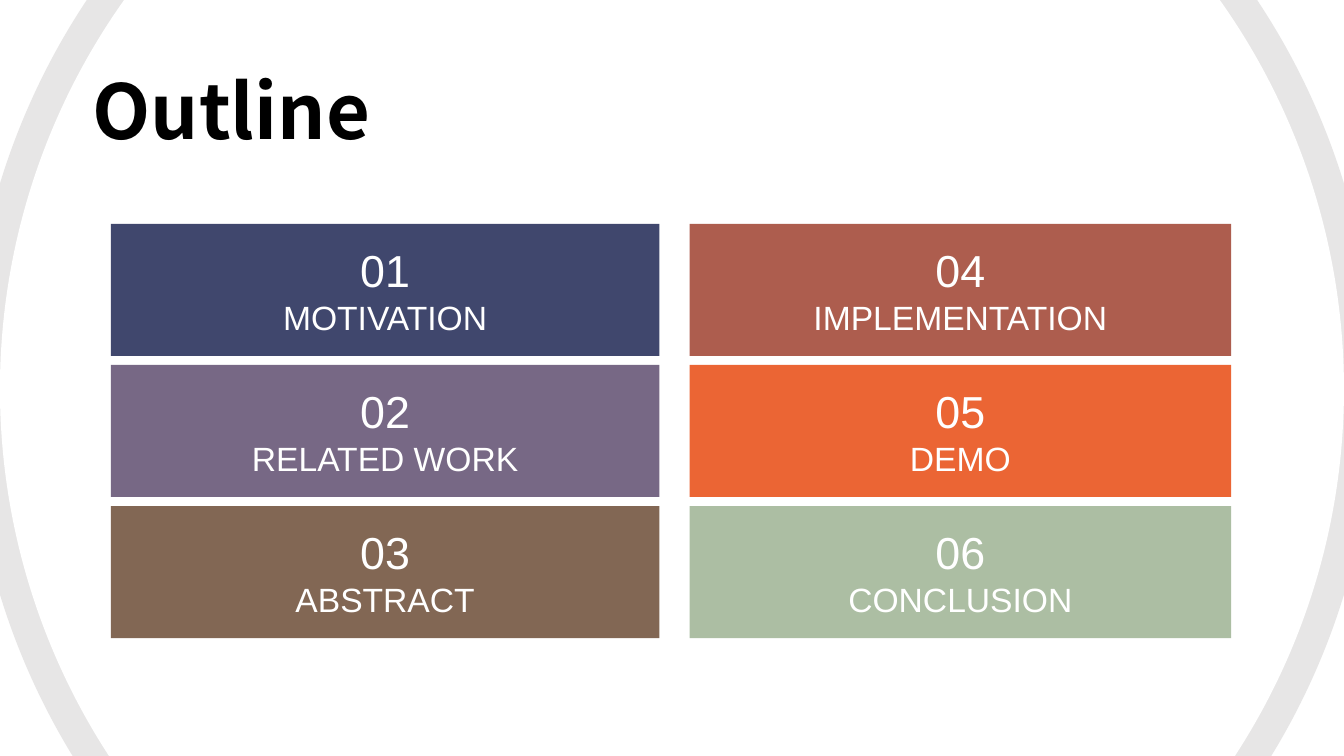
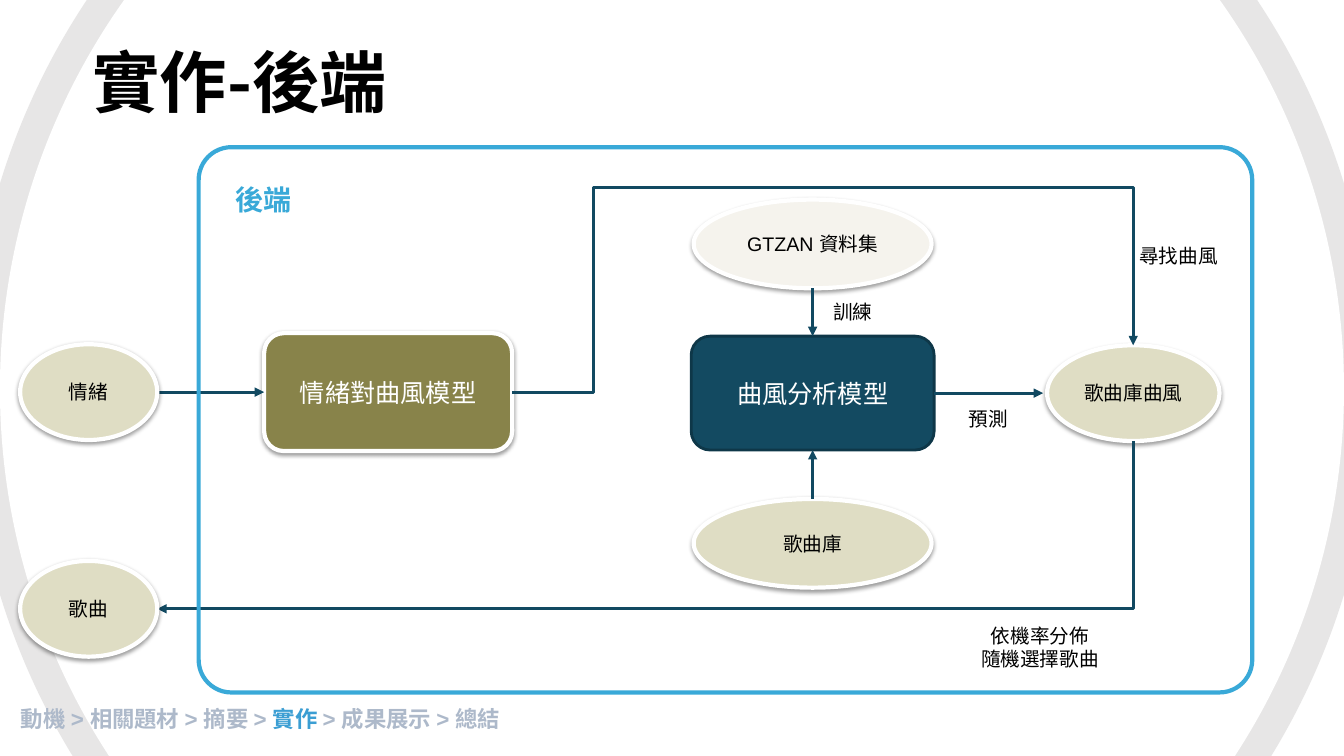
from math import acos, asin, cos, pi, sin, tan

from lxml import etree
from pptx import Presentation
from pptx.dml.color import RGBColor
from pptx.enum.shapes import MSO_CONNECTOR as Link, MSO_SHAPE as Preset
from pptx.enum.text import MSO_ANCHOR as Anchor, PP_ALIGN as Align
from pptx.oxml.ns import qn
from pptx.util import Inches, Pt

# Shared look
WIDTH, HEIGHT = 13.33, 7.5
BODY_FONT, CJK_FONT = "Arial", "Noto Sans CJK TC"
BLACK, WHITE = "000000", "FFFFFF"
RING_GREY, ARROW_BLUE, FRAME_BLUE = "E7E6E6", "114961", "39A9D8"
RING_CENTRE = (WIDTH / 2, 3.86)
RING_DISCS = [(6.97, RING_GREY), (WIDTH / 2, WHITE)]

# Outline slide
OUTLINE_TITLE = "Outline"
TOPICS = [
    ("MOTIVATION", "40476D"), ("RELATED WORK", "776885"), ("ABSTRACT", "826754"),
    ("IMPLEMENTATION", "AD5D4E"), ("DEMO", "EB6534"), ("CONCLUSION", "ACBEA3"),
]
TOPIC_COLUMNS = [(1.1, 5.44), (6.84, 5.37)]  # left, width
TOPIC_TOP, TOPIC_HEIGHT, TOPIC_PITCH, TOPIC_ROWS = 2.22, 1.31, 1.4, 3

# Back-end slide
BACKEND_TITLE = "實作-後端"
BREADCRUMB = [("動機 > 相關題材 > 摘要 > ", "ADB9CA"), ("實作 ", "3B9ED3"),
              ("> 成果展示 > 總結", "ADB9CA")]
# style: preset, fill, line, line width, text size, text colour
STYLES = {
    "analysis": (Preset.ROUNDED_RECTANGLE, "134A61", "0E3748", 2, 18, WHITE),
    "mapping": (Preset.ROUNDED_RECTANGLE, "88834A", WHITE, 3, 18, WHITE),
    "dataset": (Preset.OVAL, "F5F3ED", WHITE, 3, 14, BLACK),
    "data": (Preset.OVAL, "DFDDC4", WHITE, 3, 14, BLACK),
}
# node: text, style, centre x, centre y, width, height
NODES = {
    "analyser": ("曲風分析模型", "analysis", 8.06, 3.9, 2.41, 1.13),
    "mapper": ("情緒對曲風模型", "mapping", 3.85, 3.89, 2.46, 1.17),
    "dataset": ("GTZAN 資料集", "dataset", 8.06, 2.42, 2.36, 0.88),
    "library": ("歌曲庫", "data", 8.06, 5.39, 2.36, 0.88),
    "genres": ("歌曲庫曲風", "data", 11.24, 3.9, 1.71, 0.95),
    "emotion": ("情緒", "data", 0.88, 3.89, 1.36, 0.95),
    "song": ("歌曲", "data", 0.88, 6.04, 1.36, 0.95),
}
OUTSIDE_NODES = ("emotion", "song")  # these cover the arrow ends
STRAIGHT_ARROWS = [
    ("dataset", "bottom", "analyser", "top"), ("library", "top", "analyser", "bottom"),
    ("analyser", "right", "genres", "left"), ("emotion", "right", "mapper", "left"),
]
ARROW_GAPS = {"genres": 0.04}  # space left before the node
DETOUR_X, DETOUR_Y = 5.89, 1.86
# label: lines, left, top, width, height
LABELS = [
    (["訓練"], 7.88, 2.93, 1.16, 0.34), (["預測"], 9.22, 3.99, 1.16, 0.34),
    (["尋找曲風"], 11.11, 2.37, 1.16, 0.34),
    (["依機率分佈", "隨機選擇歌曲"], 9.52, 6.14, 1.59, 0.57),
]
FRAME = (1.97, 1.46, 10.45, 5.41)
FRAME_LABEL = ("後端", 2.24, 1.76, 0.76, 0.44)


def rgb(color):
    return RGBColor.from_string(color)


def inches(*lengths):
    return [Inches(length) for length in lengths]


def style_run(span, size, color, bold=False, font=BODY_FONT):
    span.font.size, span.font.bold, span.font.name = Pt(size), bold, font
    span.font.color.rgb = rgb(color)
    east_asian = etree.Element(qn("a:ea"), typeface=CJK_FONT)
    span.font._element.find(qn("a:latin")).addnext(east_asian)


def write(box, lines, color, align=Align.CENTER, **look):
    """Fill a box with (text, size) lines."""
    frame = box.text_frame
    for index, (text, size) in enumerate(lines):
        para = frame.add_paragraph() if index else frame.paragraphs[0]
        para.text, para.alignment = text, align
        style_run(para.runs[0], size, color, **look)


def add_text(page, place, lines, color, wrap=True, **look):
    box = page.shapes.add_textbox(*inches(*place))
    box.text_frame.word_wrap = wrap
    write(box, lines, color, **look)
    return box


def paint(shape, fill=None, line=None, line_width=0):
    shape.shadow.inherit = False
    if fill:
        shape.fill.solid()
        shape.fill.fore_color.rgb = rgb(fill)
    else:
        shape.fill.background()
    if line:
        shape.line.color.rgb, shape.line.width = rgb(line), Pt(line_width)
    else:
        shape.line.fill.background()


def add_shape(page, preset, place, **look):
    shape = page.shapes.add_shape(preset, *inches(*place))
    paint(shape, **look)
    return shape


def add_soft_shadow(shape):
    effects = shape._element.spPr.find(qn("a:effectLst"))
    shadow = etree.SubElement(effects, qn("a:outerShdw"), blurRad=str(Pt(3.1)),
                              dist=str(Pt(1.6)), dir="5400000", rotWithShape="0")
    black = etree.SubElement(shadow, qn("a:srgbClr"), val=BLACK)
    etree.SubElement(black, qn("a:alpha"), val="38000")


def arc_points(radius, start, end):
    """Start, two handles and end of a curve along the circle."""
    centre_x, centre_y = RING_CENTRE
    handle = 4 / 3 * tan((end - start) / 4)
    corners = [(start, 0), (start, handle), (end, -handle), (end, 0)]
    return [inches(centre_x + radius * (cos(angle) - reach * sin(angle)),
                   centre_y + radius * (sin(angle) + reach * cos(angle)))
            for angle, reach in corners]


def add_ring(page):
    """Two discs, cut off at the page edges, leave a grey ring."""
    centre_x, centre_y = RING_CENTRE
    for radius, color in RING_DISCS:
        top, bottom = asin(centre_y / radius), asin((HEIGHT - centre_y) / radius)
        edge = acos(centre_x / radius)
        arcs = [(-top, -edge), (edge, bottom), (pi - bottom, pi - edge), (pi + edge, pi + top)]
        points = [point for arc in arcs for point in arc_points(radius, *arc)]
        outline = page.shapes.build_freeform(*points[0])
        outline.add_line_segments(points[1:], close=True)
        disc = outline.convert_to_shape()
        paint(disc, fill=color)

        # Join the three segments of each arc into one curve
        segments = list(disc._element.iter(qn("a:lnTo")))
        for first in range(0, len(segments), 4):
            curve = etree.Element(qn("a:cubicBezTo"))
            segments[first].addprevious(curve)
            for segment in segments[first:first + 3]:
                curve.append(segment[0])
                segment.getparent().remove(segment)


def add_page(deck, title, top, height, size):
    page = deck.slides.add_slide(deck.slide_layouts[6])
    add_ring(page)
    box = add_text(page, (0.92, top, 11.5, height), [(title, size)], BLACK,
                   align=Align.LEFT, bold=True, font=CJK_FONT)
    frame = box.text_frame
    frame.margin_left = frame.margin_right = 0
    frame.vertical_anchor = Anchor.BOTTOM
    frame.paragraphs[0].line_spacing = 0.9
    return page


def add_node(page, name):
    text, style, x, y, width, height = NODES[name]
    preset, fill, line, line_width, size, color = STYLES[style]
    place = (x - width / 2, y - height / 2, width, height)
    node = add_shape(page, preset, place, fill=fill, line=line, line_width=line_width)
    if line == WHITE:
        add_soft_shadow(node)
    write(node, [(text, size)], color)


def side(name, edge):
    x, y, width, height = NODES[name][2:]
    return {"left": (x - width / 2 - ARROW_GAPS.get(name, 0), y), "right": (x + width / 2, y),
            "top": (x, y - height / 2), "bottom": (x, y + height / 2)}[edge]


def add_arrow(page, start, end, kind=Link.STRAIGHT):
    arrow = page.shapes.add_connector(kind, *inches(*start, *end))
    arrow.line.color.rgb, arrow.line.width = rgb(ARROW_BLUE), Pt(2.25)
    etree.SubElement(arrow.line._get_or_add_ln(), qn("a:tailEnd"), type="triangle")
    etree.SubElement(arrow._element.spPr, qn("a:effectLst"))
    return arrow


def set_bend(arrow, preset, *ratios):
    geometry = arrow._element.spPr.find(qn("a:prstGeom"))
    geometry.set("prst", preset)
    guides = geometry.find(qn("a:avLst"))
    for number, ratio in enumerate(ratios, 1):
        etree.SubElement(guides, qn("a:gd"), name=f"adj{number}",
                         fmla=f"val {round(ratio * 100000)}")


def add_detour(page, start, end):
    """Right, up over the models, right, then down."""
    arrow = add_arrow(page, start, end, Link.ELBOW)
    set_bend(arrow, "bentConnector4",
             (DETOUR_X - start[0]) / (end[0] - start[0]),
             (start[1] - DETOUR_Y) / (start[1] - end[1]))


def add_return(page, start, end):
    """Down, then left: a right-down bend turned by 90 degrees."""
    arrow = add_arrow(page, start, end, Link.ELBOW)
    set_bend(arrow, "bentConnector2")
    across, down = start[0] - end[0], end[1] - start[1]
    centre_x, centre_y = (start[0] + end[0]) / 2, (start[1] + end[1]) / 2
    arrow.left, arrow.top, arrow.width, arrow.height = inches(
        centre_x - down / 2, centre_y - across / 2, down, across)
    transform = arrow._element.spPr.find(qn("a:xfrm"))
    transform.attrib.pop("flipH", None)
    transform.set("rot", "5400000")


def build_outline(deck):
    page = add_page(deck, OUTLINE_TITLE, 0.67, 0.92, 54)
    for index, (topic, color) in enumerate(TOPICS):
        column, row = divmod(index, TOPIC_ROWS)
        left, width = TOPIC_COLUMNS[column]
        place = (left, TOPIC_TOP + row * TOPIC_PITCH, width, TOPIC_HEIGHT)
        tile = add_shape(page, Preset.RECTANGLE, place, fill=color)
        write(tile, [(f"{index + 1:02}", 32), (topic, 24)], WHITE)


def build_backend(deck):
    page = add_page(deck, BACKEND_TITLE, 0.43, 0.83, 48)

    # Breadcrumb
    trail = page.shapes.add_textbox(*inches(0, 6.95, 5.17, 0.37))
    trail.text_frame.word_wrap = True
    para = trail.text_frame.paragraphs[0]
    para.alignment = Align.CENTER
    for text, color in BREADCRUMB:
        span = para.add_run()
        span.text = text
        style_run(span, 16, color, bold=True)

    # Nodes and arrows
    for name in NODES:
        if name not in OUTSIDE_NODES:
            add_node(page, name)
    for source, source_edge, target, target_edge in STRAIGHT_ARROWS:
        add_arrow(page, side(source, source_edge), side(target, target_edge))
    add_detour(page, side("mapper", "right"), side("genres", "top"))
    add_return(page, side("genres", "bottom"), side("song", "right"))
    for name in OUTSIDE_NODES:
        add_node(page, name)

    # Labels and frame
    for lines, *place in LABELS:
        add_text(page, place, [(line, 14) for line in lines], BLACK)
    frame = add_shape(page, Preset.ROUNDED_RECTANGLE, FRAME, line=FRAME_BLUE, line_width=3)
    frame.adjustments[0] = 0.06
    text, *place = FRAME_LABEL
    add_text(page, place, [(text, 20)], FRAME_BLUE, wrap=False, align=Align.LEFT, bold=True)


def main():
    deck = Presentation()
    deck.slide_width, deck.slide_height = inches(WIDTH, HEIGHT)
    build_outline(deck)
    build_backend(deck)
    deck.save("out.pptx")


if __name__ == "__main__":
    main()
